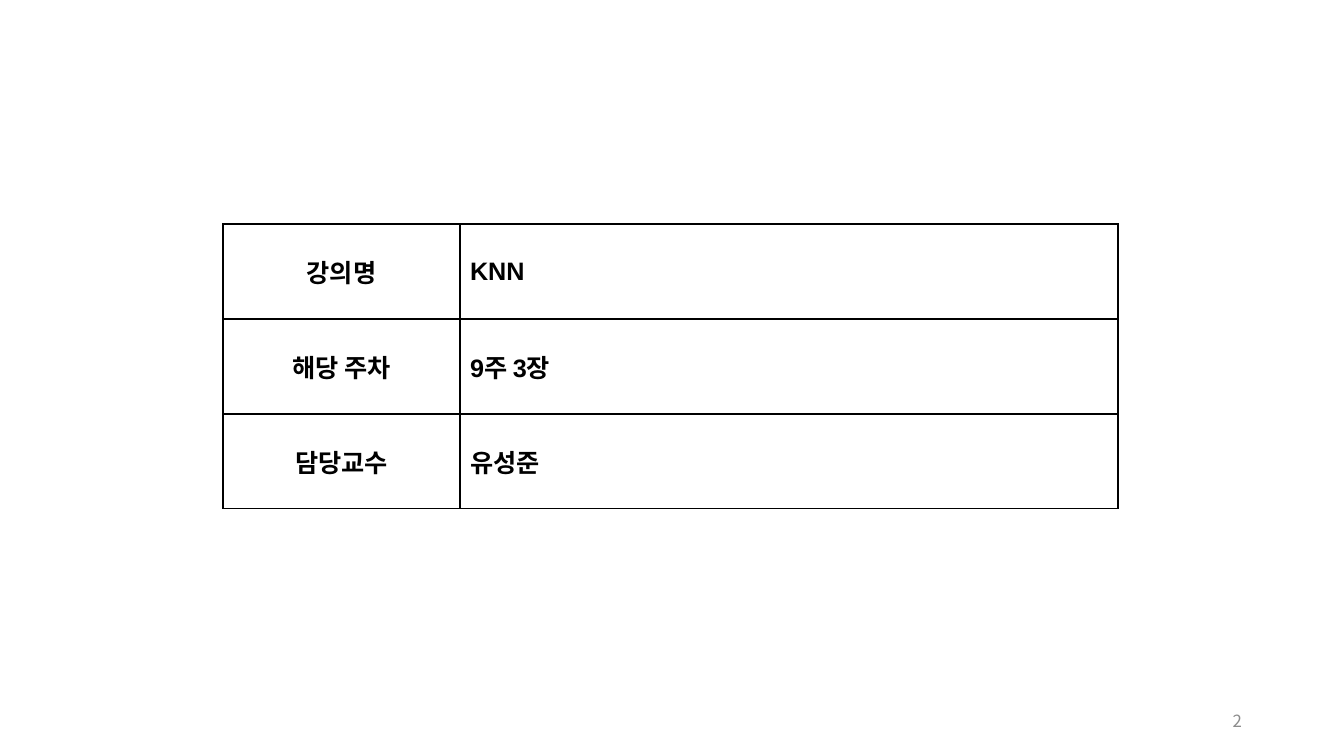
"""Build a lecture information slide with a three-row table."""
from lxml import etree
from pptx import Presentation
from pptx.dml.color import RGBColor
from pptx.enum.text import MSO_ANCHOR, PP_ALIGN
from pptx.oxml.ns import qn
from pptx.util import Emu, Pt

LECTURE_ROWS = [
    ("강의명", "KNN"),
    ("해당 주차", "9주 3장"),
    ("담당교수", "유성준"),
]
PAGE_NUMBER = "2"

PAGE_SIZE = (1344, 756)
TABLE_LEFT, TABLE_TOP = 223, 224
COLUMN_WIDTHS = (237, 658)
ROW_HEIGHT = 95
NUMBER_BOX = (950, 701, 302, 40)

BLACK = RGBColor(0x00, 0x00, 0x00)
GRAY = RGBColor(0x8C, 0x8C, 0x8C)
TABLE_FONT = "Arial"
NUMBER_FONT = "Noto Sans CJK KR"
MIDDLE = MSO_ANCHOR.MIDDLE
LEFT, CENTER, RIGHT = PP_ALIGN.LEFT, PP_ALIGN.CENTER, PP_ALIGN.RIGHT
COLUMN_ALIGNMENTS = (CENTER, LEFT)


def px(length):
    return Emu(round(length * 914400 / 100.8))


def write(frame, text, alignment, font_name, size, color, bold=False):
    frame.word_wrap = True
    para = frame.paragraphs[0]
    para.text = text
    para.alignment = alignment
    para.font.name = font_name
    para.font.size = Pt(size)
    para.font.bold = bold
    para.font.color.rgb = color


def add_borders(cell):
    properties = cell._tc.get_or_add_tcPr()
    for side in ("lnL", "lnR", "lnT", "lnB"):
        line = etree.SubElement(properties, qn(f"a:{side}"), w=str(Pt(1)))
        fill = etree.SubElement(line, qn("a:solidFill"))
        etree.SubElement(fill, qn("a:srgbClr"), val=str(BLACK))


def add_lecture_table(page):
    frame = page.shapes.add_table(
        len(LECTURE_ROWS), len(COLUMN_WIDTHS), px(TABLE_LEFT), px(TABLE_TOP),
        px(sum(COLUMN_WIDTHS)), px(ROW_HEIGHT * len(LECTURE_ROWS)))
    table = frame.table
    table.first_row = False
    table.horz_banding = False
    for column, width in zip(table.columns, COLUMN_WIDTHS):
        column.width = px(width)
    for row, texts in zip(table.rows, LECTURE_ROWS):
        row.height = px(ROW_HEIGHT)
        for cell, text, alignment in zip(row.cells, texts, COLUMN_ALIGNMENTS):
            add_borders(cell)
            cell.fill.background()
            cell.vertical_anchor = MIDDLE
            write(cell.text_frame, text, alignment, TABLE_FONT, 18, BLACK, True)


def add_page_number(page):
    box = page.shapes.add_textbox(*map(px, NUMBER_BOX))
    box.text_frame.vertical_anchor = MIDDLE
    write(box.text_frame, PAGE_NUMBER, RIGHT, NUMBER_FONT, 12, GRAY)


def main():
    deck = Presentation()
    deck.slide_width, deck.slide_height = map(px, PAGE_SIZE)
    page = deck.slides.add_slide(deck.slide_layouts[6])
    add_lecture_table(page)
    add_page_number(page)
    deck.save("out.pptx")


if __name__ == "__main__":
    main()
